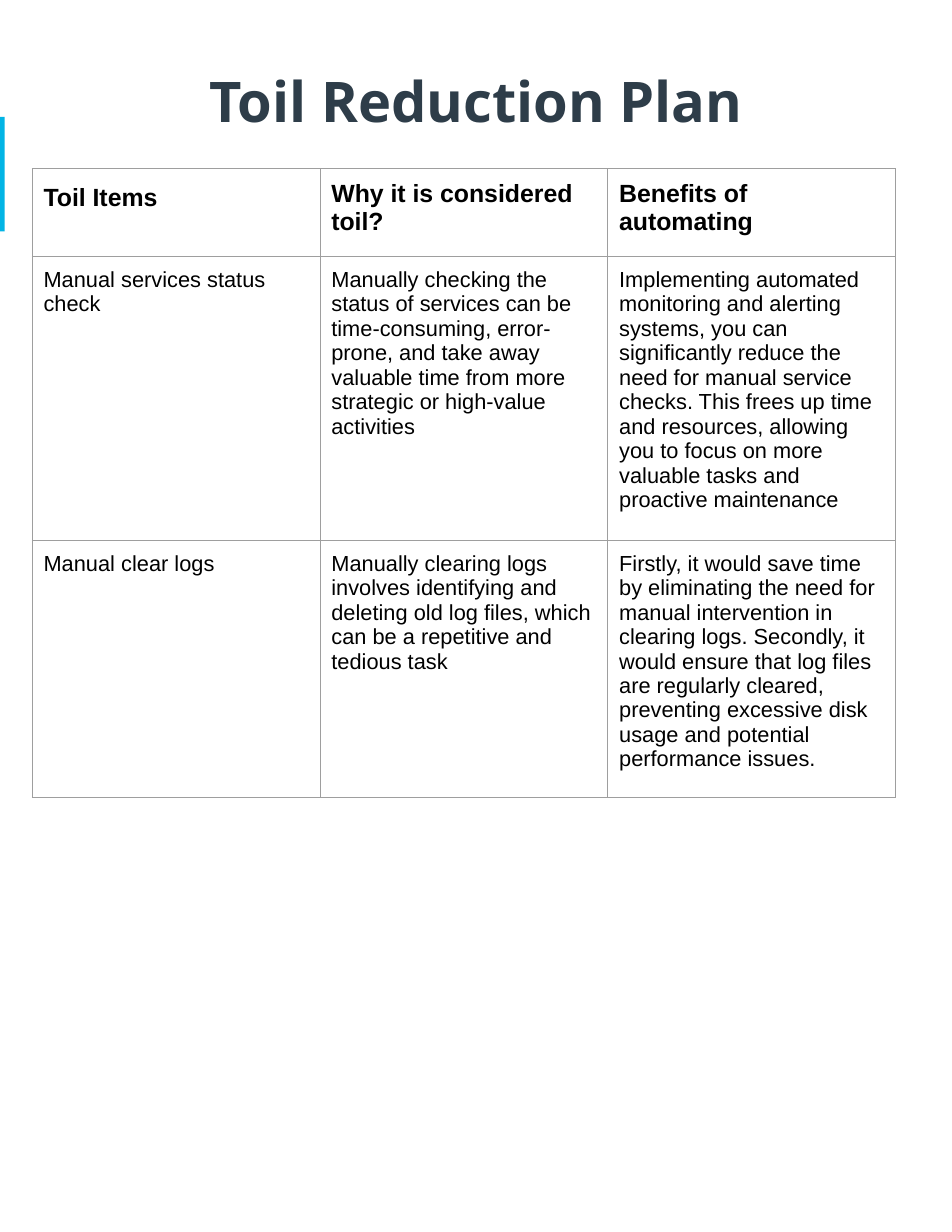
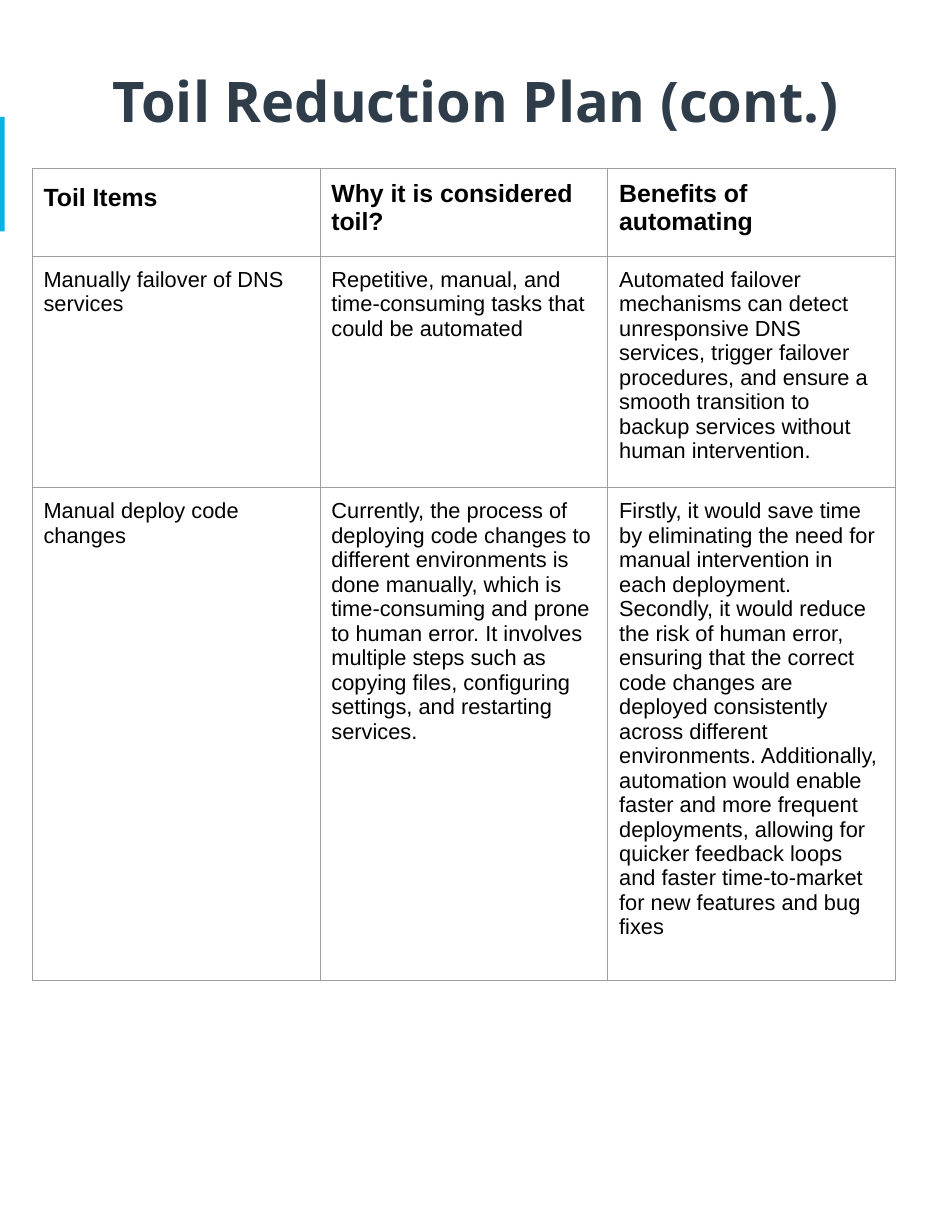
from lxml import etree
from pptx import Presentation
from pptx.dml.color import RGBColor
from pptx.enum import shapes, text
from pptx.oxml import ns
from pptx.util import Inches, Pt

ACCENT = RGBColor(0x02, 0xB4, 0xE5)
TITLE_COLOR = RGBColor(0x2E, 0x3D, 0x49)
BODY_COLOR = RGBColor(0x00, 0x00, 0x00)
BORDER_COLOR = RGBColor(0x9E, 0x9E, 0x9E)
TITLE_FONT, BODY_FONT = "Open Sans", "Arial"
WIDTH, HEIGHT = Inches(8.5), Inches(11)
INSET = Inches(0.1)

# Regions as percentages of the slide: left, top, width, height
BAND = (0, 9.5, 0.5, 9.3)
TITLE = (3.4, 2.6, 93.2, 11.1)
TABLE = (3.4, 13.7, 90.7, 24.7)
HEADER_ROW, BODY_ROW = 7.1, 8.8

HEADERS = ["Toil Items", "Why it is considered toil?", "Benefits of automating"]
PLAN = [
    ("Toil Reduction Plan", [
        ("Manual services status check",
         "Manually checking the status of services can be time-consuming, "
         "error-prone, and take away valuable time from more strategic or "
         "high-value activities",
         "Implementing automated monitoring and alerting systems, you can "
         "significantly reduce the need for manual service checks. This frees "
         "up time and resources, allowing you to focus on more valuable tasks "
         "and proactive maintenance"),
        ("Manual clear logs",
         "Manually clearing logs involves identifying and deleting old log "
         "files, which can be a repetitive and tedious task",
         "Firstly, it would save time by eliminating the need for manual "
         "intervention in clearing logs. Secondly, it would ensure that log "
         "files are regularly cleared, preventing excessive disk usage and "
         "potential performance issues."),
    ]),
    ("Toil Reduction Plan (cont.)", [
        ("Manually failover of DNS services",
         "Repetitive, manual, and time-consuming tasks that could be automated",
         "Automated failover mechanisms can detect unresponsive DNS services, "
         "trigger failover procedures, and ensure a smooth transition to "
         "backup services without human intervention."),
        ("Manual deploy code changes",
         "Currently, the process of deploying code changes to different "
         "environments is done manually, which is time-consuming and prone to "
         "human error. It involves multiple steps such as copying files, "
         "configuring settings, and restarting services.",
         "Firstly, it would save time by eliminating the need for manual "
         "intervention in each deployment. Secondly, it would reduce the risk "
         "of human error, ensuring that the correct code changes are deployed "
         "consistently across different environments. Additionally, automation "
         "would enable faster and more frequent deployments, allowing for "
         "quicker feedback loops and faster time-to-market for new features "
         "and bug fixes"),
    ]),
]


def place(region):
    """Turn percentages of the slide into lengths."""
    left, top, width, height = region
    return (int(WIDTH * left / 100), int(HEIGHT * top / 100),
            int(WIDTH * width / 100), int(HEIGHT * height / 100))


def style_text(para, font, size, color, bold):
    for span in para.runs:
        span.font.name, span.font.size, span.font.bold = font, Pt(size), bold
        span.font.color.rgb = color


def set_insets(holder):
    holder.margin_left = holder.margin_right = INSET
    holder.margin_top = holder.margin_bottom = INSET


def add_borders(cell):
    properties = cell._tc.get_or_add_tcPr()
    for index, side in enumerate(("lnL", "lnR", "lnT", "lnB")):
        line = etree.Element(ns.qn(f"a:{side}"), w=str(Pt(0.75)))
        fill = etree.SubElement(line, ns.qn("a:solidFill"))
        etree.SubElement(fill, ns.qn("a:srgbClr"), val=str(BORDER_COLOR))
        properties.insert(index, line)


def add_band(page, region):
    band = page.shapes.add_shape(shapes.MSO_SHAPE.RECTANGLE, *place(region))
    band.shadow.inherit = False
    band.fill.solid()
    band.fill.fore_color.rgb = ACCENT
    band.line.fill.background()


def add_title(page, region, title):
    frame = page.shapes.add_textbox(*place(region)).text_frame
    frame.word_wrap = True
    frame.vertical_anchor = text.MSO_ANCHOR.MIDDLE
    set_insets(frame)
    frame.text = title
    para = frame.paragraphs[0]
    para.alignment = text.PP_ALIGN.CENTER
    style_text(para, TITLE_FONT, 36, TITLE_COLOR, True)


def fill_cell(cell, words, is_header, is_first):
    set_insets(cell)
    cell.fill.background()
    add_borders(cell)
    cell.text_frame.text = words
    para = cell.text_frame.paragraphs[0]
    style_text(para, BODY_FONT, 16 if is_header else 14, BODY_COLOR, is_header)
    if is_header:
        para.space_before = Pt(12)
        if is_first:
            para.line_spacing = 1.15
        else:
            para.space_after = Pt(12)


def add_toil_table(page, region, items):
    rows = [HEADERS, *items]
    table = page.shapes.add_table(len(rows), len(HEADERS), *place(region)).table
    table.first_row = table.horz_banding = False
    for row_index, words in enumerate(rows):
        share = BODY_ROW if row_index else HEADER_ROW
        table.rows[row_index].height = int(HEIGHT * share / 100)
        for column, phrase in enumerate(words):
            fill_cell(table.cell(row_index, column), phrase,
                      row_index == 0, column == 0)


def add_plan_page(deck, title, items):
    page = deck.slides.add_slide(deck.slide_layouts[6])
    add_band(page, BAND)
    add_title(page, TITLE, title)
    add_toil_table(page, TABLE, items)


def main():
    deck = Presentation()
    deck.slide_width, deck.slide_height = WIDTH, HEIGHT
    for title, items in PLAN:
        add_plan_page(deck, title, items)
    deck.save("out.pptx")


if __name__ == "__main__":
    main()
